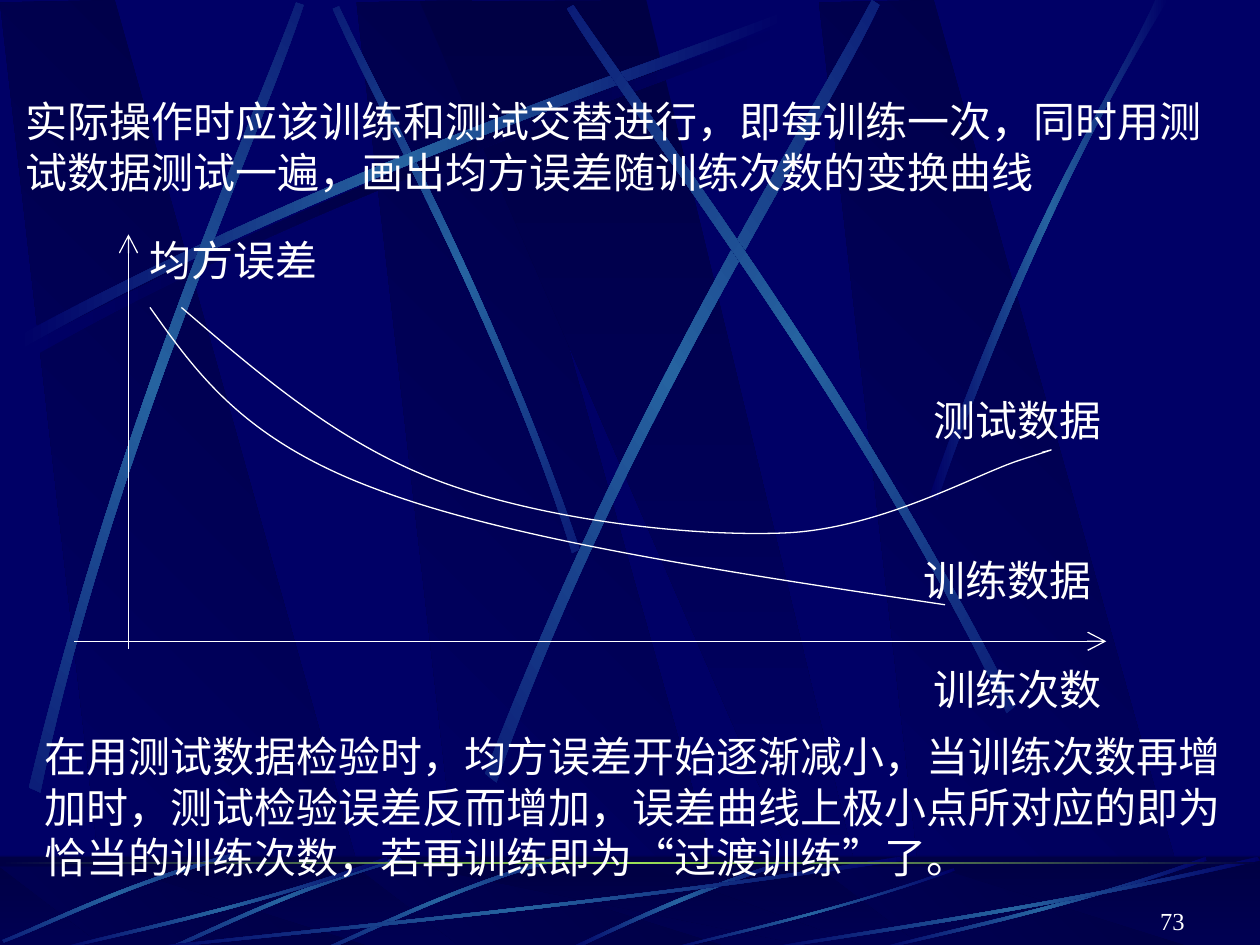
from math import cos, radians, sin

from pptx import Presentation
from pptx.dml.color import RGBColor
from pptx.enum.shapes import MSO_CONNECTOR, MSO_SHAPE
from pptx.enum.text import PP_ALIGN
from pptx.oxml.ns import qn
from pptx.oxml.xmlchemy import OxmlElement
from pptx.util import Pt

PX = 9144
STRAIGHT, RECT = MSO_CONNECTOR.STRAIGHT, MSO_SHAPE.RECTANGLE
RIGHT = PP_ALIGN.RIGHT
NAVY, DARK, BEAM, GREEN, WHITE = "000066", "000044", "2663A0", "9CE157", "FFFFFF"
LATIN, CJK = "Times New Roman", "Noto Sans CJK SC"
BEAM_STOPS = (NAVY, BEAM, NAVY)
SHADE_STOPS = (NAVY, DARK, NAVY)

WALL_BAND = [(86, 750), (302, 752), (91, 0), (0, 2)]
WALL_WEDGE = [(333, 1), (658, 751), (694, 751), (513, 0)]
FLOOR_BAND = [(86, 754), (302, 754), (91, 688), (0, 688)]
FLOOR_WEDGE = [(333, 688), (658, 754), (694, 754), (513, 688)]
CROSS_BEAM = [(14, 267), (278, 125), (518, 51), (620, 10),
              (623, 16), (522, 61), (248, 143), (17, 277)]
FLOOR_BEAM = [(317, 680), (230, 705), (162, 740), (131, 753),
              (132, 755), (163, 743), (240, 703), (319, 683)]

WALL_BEAMS = [
    (45, [(460, 436), (391, 234), (302, 77), (269, 5),
          (264, 7), (295, 79), (398, 258), (454, 439)]),
    (0, CROSS_BEAM),
    (311.7, [(23, 625), (93, 334), (197, 105), (235, 2),
             (241, 4), (207, 108), (86, 368), (32, 629)]),
    (321.6, [(385, 614), (498, 320), (638, 102), (692, 0),
             (698, 4), (649, 108), (486, 355), (394, 621)]),
    (34.8, [(806, 560), (670, 293), (516, 95), (455, 4),
            (450, 7), (507, 101), (685, 325), (799, 566)]),
    (0, [(738, 393), (814, 173), (888, 66), (917, 0),
         (927, 0), (836, 145), (769, 322), (744, 397)]),
]
FLOOR_BEAMS = [
    (0, [(627, 682), (537, 709), (477, 742), (448, 754),
         (453, 755), (490, 737), (571, 700), (628, 685)]),
    (314.9, [(x + 125, y) for x, y in FLOOR_BEAM]),
    (314.9, FLOOR_BEAM),
    (314.9, [(186, 677), (99, 700), (33, 734), (2, 746),
             (3, 748), (34, 737), (110, 698), (188, 680)]),
    (0, [(717, 683), (449, 723), (206, 744), (103, 755),
         (100, 754), (202, 741), (480, 718), (714, 680)]),
    (0, [(308, 683), (193, 723), (88, 744), (43, 755),
         (42, 754), (86, 741), (206, 718), (307, 680)]),
    (0, [(758, 691), (658, 726), (567, 745), (528, 755),
         (527, 754), (565, 743), (669, 722), (757, 689)]),
    (0, [(958, 683), (843, 723), (738, 744), (693, 755),
         (692, 754), (736, 741), (856, 718), (957, 680)]),
    (0, [(1000, 683), (827, 723), (669, 744), (602, 755),
         (600, 754), (666, 741), (846, 718), (998, 680)]),
]
TRAINING_CURVE = [(119, 244), (156, 296), (193, 349), (298, 388),
                  (403, 428), (576, 454), (750, 480)]
TEST_CURVE = [(144, 244), (207, 298), (269, 352), (349, 382),
              (429, 412), (545, 426), (622, 423),
              (699, 420), (775, 376), (810, 365),
              (844, 354), (835, 357), (827, 359)]
LABELS = [
    ("训练次数", 741, 527, 205, 40),
    ("均方误差", 119, 186, 154, 40),
    ("训练数据", 733, 440, 137, 40),
    ("测试数据", 741, 313, 213, 40),
    ("实际操作时应该训练和测试交替进行，即每训练一次，同时用测试数据测试一遍，"
     "画出均方误差随训练次数的变换曲线", 20, 76, 937, 80),
]
CONCLUSION = ("在用测试数据检验时，均方误差开始逐渐减小，当训练次数再增加时，测试检验误差反而增加，"
              "误差曲线上极小点所对应的即为恰当的训练次数，若再训练即为“过渡训练”了。")


def px(*values):
    return [round(v * PX) for v in values]


def rgb(value):
    return RGBColor.from_string(value)


def child(parent, tag, **attrs):
    el = OxmlElement(tag)
    for key, value in attrs.items():
        el.set(key, str(value))
    parent.append(el)
    return el


def fill_gradient(sp, colours, angle):
    sp.fill.gradient()
    grad = sp._element.spPr.find(qn("a:gradFill"))
    stops = grad.find(qn("a:gsLst"))
    for stop in list(stops):
        stops.remove(stop)
    for i, colour in enumerate(colours):
        gs = child(stops, "a:gs", pos=i * 100000 // (len(colours) - 1))
        child(gs, "a:srgbClr", val=colour)
    grad.find(qn("a:lin")).set("ang", str(angle * 60000))


def turn(x, y, degrees):
    a = radians(degrees)
    return x * cos(a) - y * sin(a), x * sin(a) + y * cos(a)


def add_outline(s, points, bends=(), closed=True, angle=0):
    pts = [px(*turn(x, y, -angle)) for x, y in points]
    builder = s.shapes.build_freeform(*pts[0])
    builder.add_line_segments(pts[1:], close=closed)
    sp = builder.convert_to_shape()
    sp.shadow.inherit = False
    cx, cy = turn(sp.left + sp.width / 2, sp.top + sp.height / 2, angle)
    sp.left, sp.top = round(cx - sp.width / 2), round(cy - sp.height / 2)
    sp.rotation = angle
    path = next(sp._element.iter(qn("a:path")))
    lines = path.findall(qn("a:lnTo"))
    for i in bends:
        curve = OxmlElement("a:cubicBezTo")
        lines[i].addprevious(curve)
        for line in lines[i:i + 3]:
            curve.append(line[0])
            path.remove(line)
    return sp


def add_band(s, points, angle):
    sp = add_outline(s, points)
    fill_gradient(sp, (DARK, NAVY), angle)
    sp.line.fill.background()


def add_beam(s, points, angle, stops=BEAM_STOPS):
    sp = add_outline(s, points, bends=(0, 4), angle=angle)
    fill_gradient(sp, stops, 180)
    sp.line.fill.background()


def add_rect(s, top, height):
    sp = s.shapes.add_shape(RECT, *px(0, top, 1000, height))
    sp.shadow.inherit = False
    sp.line.fill.background()
    return sp


def add_bands(s, band, wedge):
    for dx in (283, 0, 650):
        add_band(s, [(x + dx, y) for x, y in band], 135)
    add_band(s, wedge, 90)


def add_backdrop(s):
    s.background.fill.solid()
    s.background.fill.fore_color.rgb = rgb(NAVY)
    add_bands(s, WALL_BAND, WALL_WEDGE)
    add_beam(s, [(x + 6, y + 8) for x, y in CROSS_BEAM], 0, SHADE_STOPS)
    for angle, points in WALL_BEAMS:
        add_beam(s, points, angle)
    fill_gradient(add_rect(s, 680, 75), (DARK, NAVY), 90)
    add_bands(s, FLOOR_BAND, FLOOR_WEDGE)
    veil = add_rect(s, 679, 75)
    veil.fill.solid()
    veil.fill.fore_color.rgb = rgb(DARK)
    colour = veil._element.spPr.find(qn("a:solidFill"))[0]
    child(colour, "a:alpha", val=50000)
    for angle, points in FLOOR_BEAMS:
        add_beam(s, points, angle)
    fill_gradient(add_rect(s, 684, 2), (DARK, GREEN, DARK), 180)


def format_line(sp):
    sp.line.color.rgb = rgb(WHITE)
    sp.line.width = Pt(0.75)


def add_axis(s, x1, y1, x2, y2):
    axis = s.shapes.add_connector(STRAIGHT, *px(x1, y1, x2, y2))
    format_line(axis)
    child(axis.line._get_or_add_ln(), "a:tailEnd", type="arrow", w="lg", len="lg")
    child(axis._element.spPr, "a:effectLst")


def add_curve(s, points):
    sp = add_outline(s, points, bends=range(0, len(points) - 1, 3), closed=False)
    sp.fill.background()
    format_line(sp)


def add_text(s, text, x, y, w, h, size=24, font=LATIN, inset=(0, 0), align=None):
    tf = s.shapes.add_textbox(*px(x, y, w, h)).text_frame
    tf.word_wrap = True
    tf.margin_left = tf.margin_right = px(inset[0])[0]
    tf.margin_top = tf.margin_bottom = px(inset[1])[0]
    tf.text = text
    p = tf.paragraphs[0]
    p.alignment = align
    r = p.runs[0]
    r.font.size = Pt(size)
    r.font.name = font
    r.font.color.rgb = rgb(WHITE)
    child(r._r.get_or_add_rPr(), "a:ea", typeface=CJK)


def main():
    prs = Presentation()
    prs.slide_width, prs.slide_height = px(1000, 750)
    s = prs.slides.add_slide(prs.slide_layouts[6])
    add_backdrop(s)
    add_text(s, "73", 717, 714, 233, 22, size=14, inset=(10, 5), align=RIGHT)
    add_axis(s, 59, 509, 878, 509)
    add_axis(s, 102, 515, 102, 186)
    add_curve(s, TRAINING_CURVE)
    add_curve(s, TEST_CURVE)
    for label in LABELS:
        add_text(s, *label)
    add_text(s, CONCLUSION, 35, 580, 936, 120, font=CJK)
    prs.save("out.pptx")


if __name__ == "__main__":
    main()
